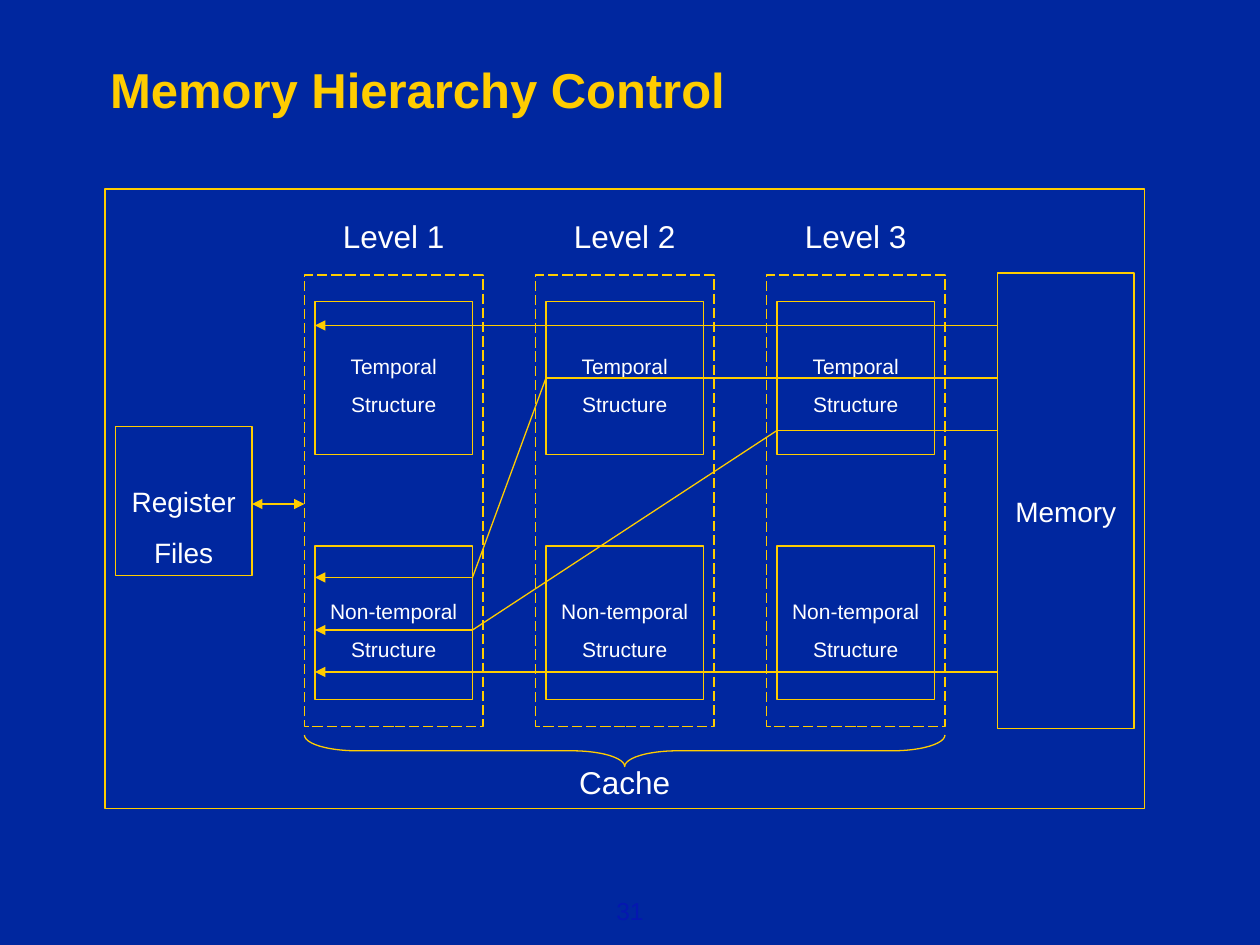
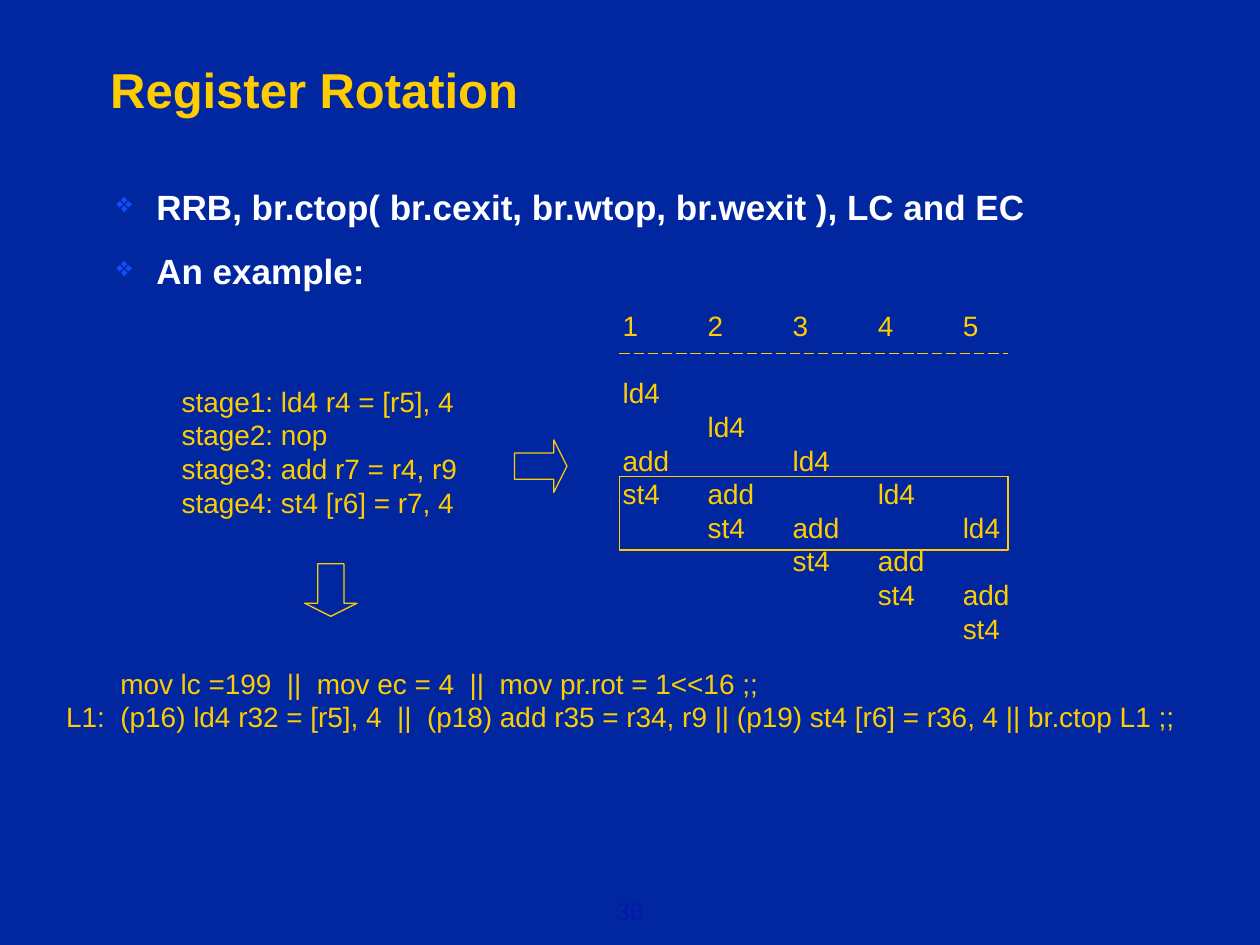
from dataclasses import dataclass
from itertools import pairwise

from lxml import etree
from pptx import Presentation
from pptx.dml.color import RGBColor
from pptx.enum.dml import MSO_LINE
from pptx.enum.shapes import MSO_CONNECTOR, MSO_SHAPE
from pptx.enum.text import MSO_ANCHOR, PP_ALIGN
from pptx.oxml.ns import qn
from pptx.util import Emu, Pt

# Shared look
BLUE, GOLD, WHITE = "00279F", "FFCC00", "FFFFFF"
BULLET_BLUE, NUMBER_BLUE = "114FFB", "0517B0"
FONT = "Arial"
EMU_PER_PX = 7620  # 120 px to the inch
SLIDE_W, SLIDE_H = 1200, 900
INSET_X, INSET_Y = 13, 6

LEFT, CENTER = PP_ALIGN.LEFT, PP_ALIGN.CENTER
TOP, MIDDLE, BOTTOM = MSO_ANCHOR.TOP, MSO_ANCHOR.MIDDLE, MSO_ANCHOR.BOTTOM
RECT, BRACE, ARROW = MSO_SHAPE.RECTANGLE, MSO_SHAPE.LEFT_BRACE, MSO_SHAPE.RIGHT_ARROW
DASH = MSO_LINE.LONG_DASH
STRAIGHT = MSO_CONNECTOR.STRAIGHT


@dataclass(frozen=True)
class Box:
    left: int
    top: int
    width: int
    height: int

    def emu(self) -> list[Emu]:
        return [px(v) for v in (self.left, self.top, self.width, self.height)]


@dataclass(frozen=True)
class TextStyle:
    size: int
    color: str = WHITE
    bold: bool = False
    align: PP_ALIGN = CENTER
    anchor: MSO_ANCHOR = MIDDLE
    gap: float = 0  # points before every paragraph but the first
    line_spacing: float | None = None
    top_inset: int = INSET_Y


@dataclass(frozen=True)
class Route:
    points: list[tuple[int, int]]
    both_ends: bool = False


TITLE = TextStyle(28, GOLD, bold=True, align=LEFT, line_spacing=0.9)
NUMBER = TextStyle(14, NUMBER_BLUE)
CAPTION = TextStyle(18)
CODE = TextStyle(16, GOLD, align=LEFT)
BULLETS = TextStyle(20, bold=True, align=LEFT, anchor=TOP, gap=18.7, line_spacing=0.75)


def px(value: int) -> Emu:
    return Emu(value * EMU_PER_PX)


def rgb(value: str) -> RGBColor:
    return RGBColor.from_string(value)


def write(shape, lines: list[str], style: TextStyle) -> None:
    frame = shape.text_frame
    frame.text = "\n".join(lines)
    frame.word_wrap = True
    frame.vertical_anchor = style.anchor
    frame.margin_left = frame.margin_right = px(INSET_X)
    frame.margin_top, frame.margin_bottom = px(style.top_inset), px(INSET_Y)
    for index, paragraph in enumerate(frame.paragraphs):
        paragraph.alignment = style.align
        paragraph.space_before = Pt(style.gap if index else 0)
        if style.line_spacing:
            paragraph.line_spacing = style.line_spacing
        for run in paragraph.runs:
            run.font.name = FONT
            run.font.size = Pt(style.size)
            run.font.bold = style.bold
            run.font.color.rgb = rgb(style.color)


def add_text(slide, box: Box, lines: list[str], style: TextStyle):
    text_box = slide.shapes.add_textbox(*box.emu())
    write(text_box, lines, style)
    return text_box


def style_line(line, dash: MSO_LINE | None = None) -> None:
    line.color.rgb = rgb(GOLD)
    line.width = Pt(0.75)
    if dash is not None:
        line.dash_style = dash


def add_outline(slide, box: Box, kind: MSO_SHAPE = RECT, dash: MSO_LINE | None = None,
                rotation: int = 0, adjustments: tuple[float, ...] = ()):
    shape = slide.shapes.add_shape(kind, *box.emu())
    shape.shadow.inherit = False
    shape.fill.background()
    style_line(shape.line, dash)
    shape.rotation = rotation
    for index, value in enumerate(adjustments):
        shape.adjustments[index] = value
    return shape


def add_line(slide, start: tuple[int, int], end: tuple[int, int],
             dash: MSO_LINE | None = None, arrows: tuple[str, ...] = ()) -> None:
    connector = slide.shapes.add_connector(STRAIGHT, *map(px, start + end))
    style_line(connector.line, dash)
    properties = connector._element.spPr
    outline = properties.find(qn("a:ln"))
    for end_tag in arrows:
        etree.SubElement(outline, qn(end_tag), type="triangle")
    etree.SubElement(properties, qn("a:effectLst"))


def add_route(slide, route: Route) -> None:
    legs = list(pairwise(route.points))
    for leg in legs:
        arrows = ("a:tailEnd",) if leg == legs[-1] else ()
        if route.both_ends:
            arrows = ("a:headEnd", "a:tailEnd")
        add_line(slide, *leg, arrows=arrows)


def add_bullets(text_box) -> None:
    indent = px(38)
    for paragraph in text_box.text_frame.paragraphs:
        properties = paragraph._p.get_or_add_pPr()
        properties.set("marL", str(indent))
        properties.set("indent", str(-indent))
        color = etree.SubElement(properties, qn("a:buClr"))
        etree.SubElement(color, qn("a:srgbClr"), val=BULLET_BLUE)
        etree.SubElement(properties, qn("a:buSzPct"), val="80000")
        etree.SubElement(properties, qn("a:buChar"), char="❖")


def add_tab_stops(text_box, pitch: int, count: int) -> None:
    for paragraph in text_box.text_frame.paragraphs:
        stops = etree.SubElement(paragraph._p.get_or_add_pPr(), qn("a:tabLst"))
        for step in range(1, count + 1):
            etree.SubElement(stops, qn("a:tab"), pos=str(px(step * pitch)), algn="l")


def start_slide(deck, title: str, number: int):
    slide = deck.slides.add_slide(deck.slide_layouts[5])
    heading = slide.shapes.title
    heading.left, heading.top, heading.width, heading.height = Box(92, 43, 1000, 90).emu()
    write(heading, [title], TITLE)
    add_text(slide, Box(500, 842, 200, 50), [str(number)], NUMBER)
    return slide


def build_memory_hierarchy(deck) -> None:
    slide = start_slide(deck, "Memory Hierarchy Control", 31)
    add_outline(slide, Box(100, 180, 990, 590))

    # Register files and memory at the two sides
    registers = add_outline(slide, Box(110, 406, 130, 142))
    write(registers, ["Register", "Files"], TextStyle(16, anchor=BOTTOM, gap=10))
    memory = add_outline(slide, Box(950, 260, 130, 434))
    write(memory, ["Memory"], TextStyle(16, top_inset=25))

    # Three cache levels, each with two structures
    structure_style = TextStyle(12, gap=7.5, top_inset=20)
    structures = {"Temporal": 287, "Non-temporal": 520}
    level_left, level_pitch = 290, 220
    for level in range(3):
        left = level_left + level * level_pitch
        add_text(slide, Box(left - 10, 200, 190, 50), [f"Level {level + 1}"], CAPTION)
        add_outline(slide, Box(left, 262, 170, 430), dash=DASH)
        for name, top in structures.items():
            structure = add_outline(slide, Box(left + 10, top, 150, 146))
            write(structure, [name, "Structure"], structure_style)

    # Paths from memory into level 1, and the register link
    memory_edge, level1_edge, level1_right = 950, 300, 450
    routes = [
        Route([(memory_edge, 310), (level1_edge, 310)]),
        Route([(memory_edge, 360), (520, 360), (level1_right, 550), (level1_edge, 550)]),
        Route([(memory_edge, 410), (740, 410), (level1_right, 600), (level1_edge, 600)]),
        Route([(memory_edge, 640), (level1_edge, 640)]),
        Route([(level_left, 480), (240, 480)], both_ends=True),
    ]
    for route in routes:
        add_route(slide, route)

    # Brace under the levels
    add_outline(slide, Box(580, 410, 30, 610), BRACE, rotation=270, adjustments=(1.67, 0.5))
    add_text(slide, Box(500, 720, 190, 50), ["Cache"], CAPTION)


def pipeline_rows(iterations: int) -> list[str]:
    """Each iteration starts one row later; add and st4 follow ld4 by 2 and 3 rows."""
    stages = {0: "ld4", 2: "add", 3: "st4"}
    rows = []
    for row in range(iterations + max(stages)):
        cells = [stages.get(row - column, "") for column in range(iterations)]
        rows.append("\t".join(cells).rstrip())
    return rows


def build_register_rotation(deck) -> None:
    slide = start_slide(deck, "Register Rotation", 36)
    points = add_text(slide, Box(98, 180, 1032, 130), [
        "RRB, br.ctop( br.cexit, br.wtop, br.wexit ), LC and EC",
        "An example:",
    ], BULLETS)
    add_bullets(points)

    # Loop body by stage
    add_text(slide, Box(160, 360, 310, 140), [
        "stage1: ld4 r4 = [r5], 4",
        "stage2: nop",
        "stage3: add r7 = r4, r9",
        "stage4: st4 [r6] = r7, 4",
    ], CODE)

    # Overlapped iterations
    iterations = 5
    header = "\t".join(str(i + 1) for i in range(iterations))
    schedule = add_text(slide, Box(580, 288, 410, 332),
                        [header, *pipeline_rows(iterations)], CODE)
    add_tab_stops(schedule, 81, iterations - 1)
    schedule.text_frame.paragraphs[1].space_before = Pt(19.2)
    add_line(slide, (590, 337), (960, 337), dash=DASH)
    add_outline(slide, Box(590, 454, 370, 70))

    # Arrows to the schedule and to the rotated loop
    for box, rotation in ((Box(490, 419, 50, 50), 0), (Box(290, 537, 50, 50), 90)):
        add_outline(slide, box, ARROW, rotation=rotation, adjustments=(0.5, 0.25))

    # Rotated loop code
    add_text(slide, Box(50, 628, 1100, 77), [
        "       mov lc =199  ||  mov ec = 4  ||  mov pr.rot = 1<<16 ;;",
        "L1:  (p16) ld4 r32 = [r5], 4  ||  (p18) add r35 = r34, r9 || "
        "(p19) st4 [r6] = r36, 4 || br.ctop L1 ;;",
    ], CODE)


def main() -> None:
    deck = Presentation()
    deck.slide_width, deck.slide_height = px(SLIDE_W), px(SLIDE_H)
    background = deck.slide_master.background.fill
    background.solid()
    background.fore_color.rgb = rgb(BLUE)
    build_memory_hierarchy(deck)
    build_register_rotation(deck)
    deck.save("out.pptx")


if __name__ == "__main__":
    main()
